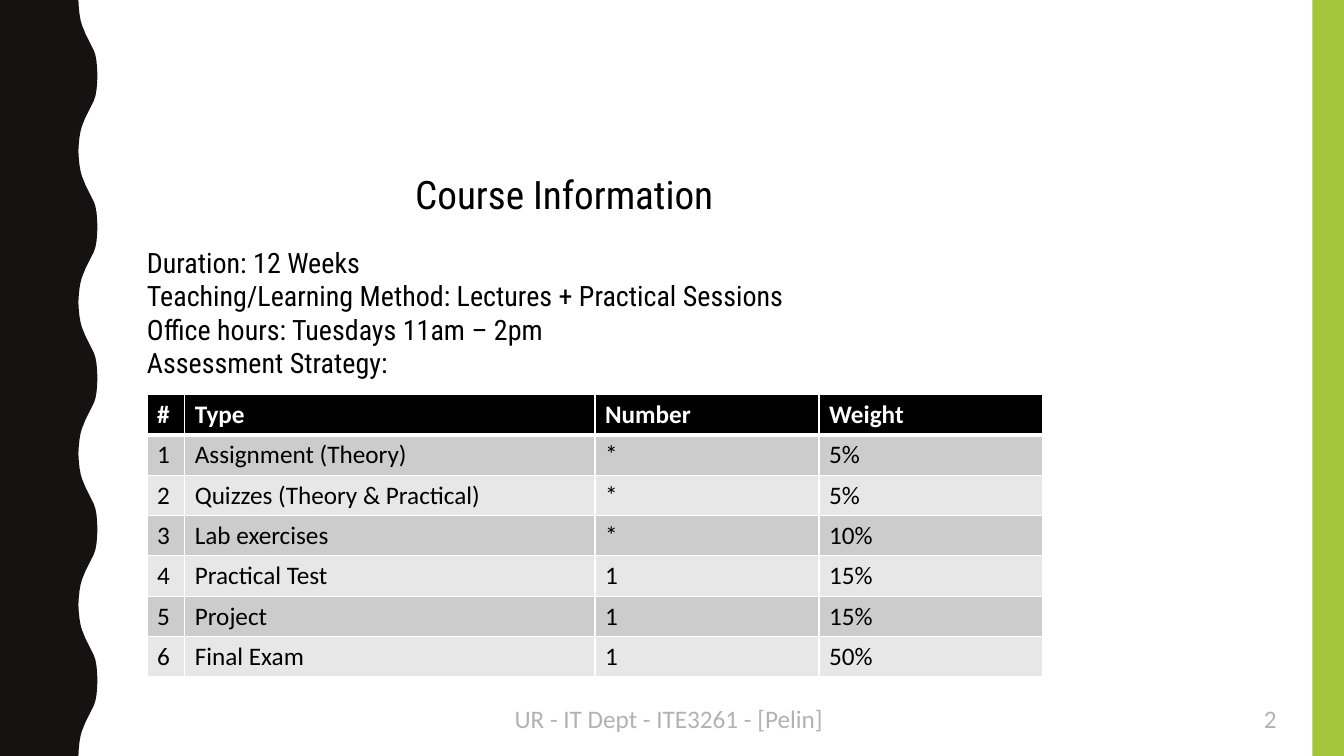
import pptx
import pptx.util
import pptx.dml.color
import pptx.enum.text
import pptx.oxml
import pptx.oxml.ns

Pt = pptx.util.Pt
RGBColor = pptx.dml.color.RGBColor
ALIGN = pptx.enum.text.PP_ALIGN

BLACK = RGBColor(0x00, 0x00, 0x00)
WHITE = RGBColor(0xFF, 0xFF, 0xFF)
DARK = RGBColor(0x17, 0x12, 0x12)
GREEN = RGBColor(0xA3, 0xC5, 0x39)
FOOTER_GRAY = RGBColor(0xB2, 0xB2, 0xB2)
ODD_ROW = RGBColor(0xCC, 0xCC, 0xCC)
EVEN_ROW = RGBColor(0xE7, 0xE7, 0xE7)
WIDTH, HEIGHT = 960, 540

deck = pptx.Presentation()
deck.slide_width, deck.slide_height = Pt(WIDTH), Pt(HEIGHT)
page = deck.slides.add_slide(deck.slide_layouts[6])


def add_text(left, top, width, height, text, size, font, color, align):
    box = page.shapes.add_textbox(Pt(left), Pt(top), Pt(width), Pt(height))
    frame = box.text_frame
    frame.word_wrap = True
    frame.margin_left = frame.margin_right = 0
    frame.margin_top = frame.margin_bottom = 0
    frame.text = text
    for para in frame.paragraphs:
        para.alignment = align
        for span in para.runs:
            span.font.name = font
            span.font.size = Pt(size)
            span.font.color.rgb = color
    return box


def add_border(cell, side, width):
    line = pptx.oxml.parse_xml(
        f'<a:{side} {pptx.oxml.ns.nsdecls("a")} w="{Pt(width)}">'
        f'<a:solidFill><a:srgbClr val="{WHITE}"/></a:solidFill></a:{side}>')
    cell._tc.get_or_add_tcPr().append(line)


# Wavy band on the left: one half wave, mirrored and repeated down the page
half_wave = [(56, 0), (56.3, 5), (56.8, 10), (57.6, 14.5), (58.6, 18),
             (59.8, 21), (61, 24), (64, 30), (65.5, 33), (67, 36),
             (68.2, 39.5), (69, 44), (69.4, 49), (69.6, 54)]
period = 108
wave = half_wave + [(x, period - y) for x, y in reversed(half_wave[:-1])]
edge = [(x, y + period * turn) for turn in range(HEIGHT // period) for x, y in wave]
outline = [(Pt(x), Pt(y)) for x, y in edge + [(0, HEIGHT)]]
builder = page.shapes.build_freeform(0, 0, scale=1.0)
builder.add_line_segments(outline, close=True)
band = builder.convert_to_shape()

# Green bar on the right
bar = page.shapes.add_shape(pptx.enum.shapes.MSO_SHAPE.RECTANGLE,
                            Pt(937.5), 0, Pt(22.5), Pt(HEIGHT))
for shape, color in ((band, DARK), (bar, GREEN)):
    shape.shadow.inherit = False
    shape.fill.solid()
    shape.fill.fore_color.rgb = color
    shape.line.fill.background()

# Course details and title
details = add_text(105, 175, 742, 176,
                   "Duration: 12 Weeks\n"
                   "Teaching/Learning Method: Lectures + Practical Sessions\n"
                   "Office hours: Tuesdays 11am – 2pm\n"
                   "Assessment Strategy:",
                   20, "Roboto Condensed", BLACK, ALIGN.LEFT)
for para in details.text_frame.paragraphs:
    para.line_spacing = Pt(24)
add_text(105, 121.7, 596, 34, "Course Information",
         28, "Roboto Condensed", BLACK, ALIGN.CENTER)

# Footer and page number
add_text(326, 502.5, 307.5, 26.5, "UR - IT Dept - ITE3261 - [Pelin] ",
         18, "Calibri", FOOTER_GRAY, ALIGN.CENTER)
add_text(691, 502.5, 221, 26.5, "2", 18, "Calibri", FOOTER_GRAY, ALIGN.RIGHT)

# Assessment table
assessments = [
    ("#", "Type", "Number", "Weight"),
    ("1", "Assignment (Theory)", "*", "5%"),
    ("2", "Quizzes (Theory & Practical)", "*", "5%"),
    ("3", "Lab exercises", "*", "10%"),
    ("4", "Practical Test", "1", "15%"),
    ("5", "Project", "1", "15%"),
    ("6", "Final Exam", "1", "50%"),
]
column_widths = [27, 293, 160, 160]
row_height = 28
table = page.shapes.add_table(
    len(assessments), len(column_widths), Pt(105), Pt(281.7),
    Pt(sum(column_widths)), Pt(row_height * len(assessments))).table
for column, width in zip(table.columns, column_widths):
    column.width = Pt(width)
for row, values in enumerate(assessments):
    table.rows[row].height = Pt(row_height)
    header = row == 0
    for column, value in enumerate(values):
        cell = table.cell(row, column)
        cell.text = value
        font = cell.text_frame.paragraphs[0].runs[0].font
        font.name, font.size, font.bold = "Calibri", Pt(18), header
        font.color.rgb = WHITE if header else BLACK
        for side in ("lnL", "lnR", "lnT", "lnB"):
            thick = (header and side == "lnB") or (row == 1 and side == "lnT")
            add_border(cell, side, 3 if thick else 0.96)
        cell.fill.solid()
        cell.fill.fore_color.rgb = BLACK if header else ODD_ROW if row % 2 else EVEN_ROW

deck.save("out.pptx")
